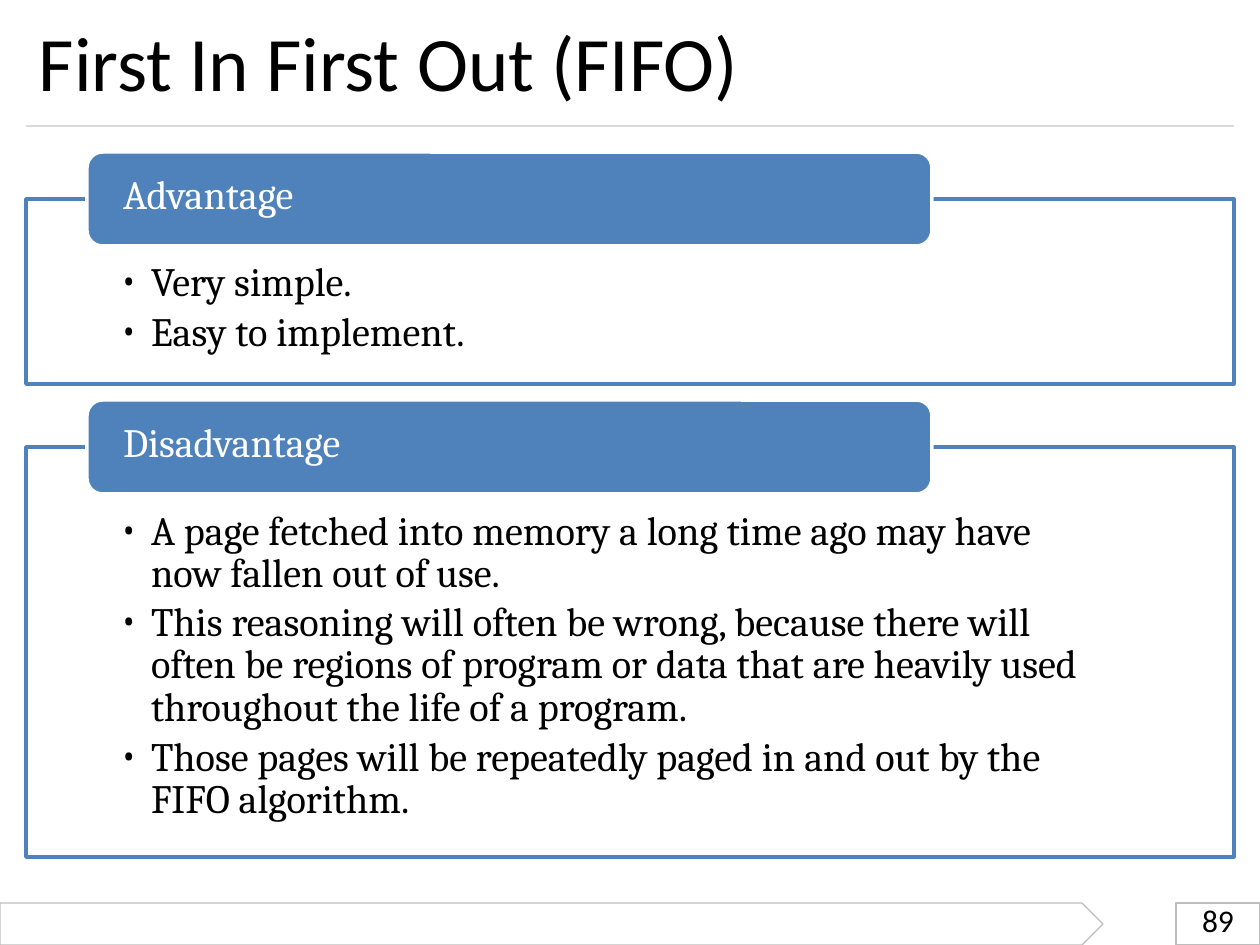
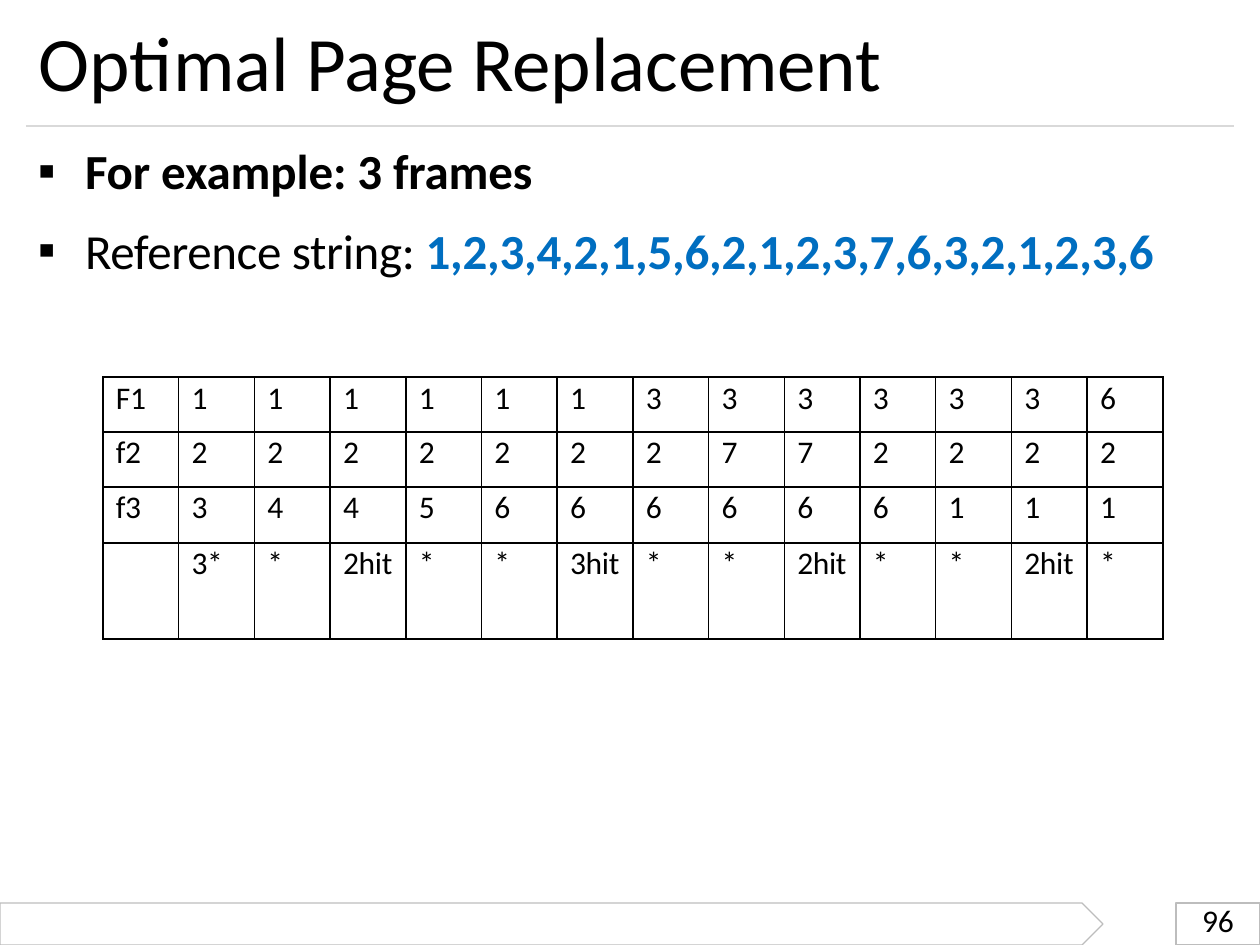
from dataclasses import dataclass

from lxml import etree
from pptx import Presentation
from pptx.dml.color import RGBColor
from pptx.enum.shapes import MSO_CONNECTOR, MSO_SHAPE
from pptx.oxml.ns import qn
from pptx.util import Emu, Pt


@dataclass(frozen=True)
class Theme:
    black: str = "000000"
    white: str = "FFFFFF"
    panel: str = "4F81BB"
    accent: str = "006EC0"
    rule: str = "D9D9D9"
    footer: str = "BDBDBD"
    sans: str = "Calibri"
    serif: str = "Cambria"
    title_size: int = 44
    body_size: int = 28
    panel_size: int = 23
    small_size: int = 18
    hairline: float = 0.72
    panel_line: float = 2.04


THEME = Theme()

# Content: each bullet is (text, space before in pt, line spacing)
FIFO = {
    "title": "First In First Out (FIFO)",
    "number": "89",
    "panels": [
        {"heading": "Advantage", "top": 152, "frame_height": 185,
         "text_width": 362, "text_height": 189, "inset_right": 0,
         "bullets": [("Very simple.", 22.1, 1.0),
                     ("Easy to implement.", 1, 1.0)]},
        {"heading": "Disadvantage", "top": 400, "frame_height": 410,
         "text_width": 1004, "text_height": 408, "inset_right": 20,
         "bullets": [
             ("A page fetched into memory a long time ago may have "
              "now fallen out of use.", 26.6, Pt(24)),
             ("This reasoning will often be wrong, because there will "
              "often be regions of program or data that are heavily used "
              "throughout the life of a program.", 3.8, 0.88),
             ("Those pages will be repeatedly paged in and out by the "
              "FIFO algorithm.", 4.2, Pt(24))]},
    ],
}
OPTIMAL = {
    "title": "Optimal Page Replacement",
    "number": "96",
    "example": "For example: 3 frames",
    "label": "Reference string: ",
    "references": "1,2,3,4,2,1,5,6,2,1,2,3,7,6,3,2,1,2,3,6",
    "frames": [
        ["F1", *"1111113333336"],
        ["f2", *"2222222772222"],
        ["f3", *"3445666666111"],
        ["", "3*", "*", "2hit", "*", "*", "3hit", "*", "*", "2hit",
         "*", "*", "2hit", "*"],
    ],
}
ROW_HEIGHTS = (55, 55, 56, 96)


def px(length):
    return Emu(round(length * 914400 / 126))


def set_values(target, values):
    for name, value in values.items():
        setattr(target, name, value)


def add_span(para, text, size, font=THEME.sans, color=THEME.black,
             bold=False, spacing=-0.05):
    """Add a run; spacing is the letter spacing in points."""
    span = para.add_run()
    span.text = text
    set_values(span.font, {"size": Pt(size), "name": font, "bold": bold})
    span.font.color.rgb = RGBColor.from_string(color)
    span._r.get_or_add_rPr().set("spc", str(round(spacing * 100)))


def set_indent(para, left, hanging=0, bullet=None, font=THEME.sans):
    properties = para._p.get_or_add_pPr()
    properties.set("marL", str(px(left)))
    properties.set("indent", str(-px(hanging)))
    if bullet:
        etree.SubElement(properties, qn("a:buFont")).set("typeface", font)
        etree.SubElement(properties, qn("a:buChar")).set("char", bullet)


def add_text_box(page, left, top, width, height, inset_top=1, inset_right=0):
    box = page.shapes.add_textbox(px(left), px(top), px(width), px(height))
    set_values(box.text_frame, {
        "word_wrap": True, "margin_left": 0, "margin_bottom": 0,
        "margin_top": px(inset_top), "margin_right": px(inset_right)})
    return box.text_frame


def add_shape(page, kind, left, top, width, height, line, weight, fill=None):
    shape = page.shapes.add_shape(kind, px(left), px(top), px(width), px(height))
    shape.shadow.inherit = False
    if fill:
        shape.fill.solid()
        shape.fill.fore_color.rgb = RGBColor.from_string(fill)
    else:
        shape.fill.background()
    shape.line.color.rgb = RGBColor.from_string(line)
    shape.line.width = Pt(weight)


def add_page(deck, content):
    """Add a slide with the shared title, rule and footer."""
    page = deck.slides.add_slide(deck.slide_layouts[6])
    outline = (THEME.footer, THEME.hairline)
    add_shape(page, MSO_SHAPE.RECTANGLE, 1176, 903, 84, 42, *outline)
    add_shape(page, MSO_SHAPE.PENTAGON, 0, 903, 1103, 42, *outline)

    rule = page.shapes.add_connector(
        MSO_CONNECTOR.STRAIGHT, px(26), px(126), px(1234), px(126))
    rule.line.color.rgb = RGBColor.from_string(THEME.rule)
    rule.line.width = Pt(THEME.hairline)
    etree.SubElement(rule._element.spPr, qn("a:effectLst"))

    title = add_text_box(page, 37, 13, 1186, 96, 2).paragraphs[0]
    title.space_before = Pt(1.1)
    set_indent(title, 2)
    add_span(title, content["title"], THEME.title_size)

    number = add_text_box(page, 1197, 907, 43, 35, 0).paragraphs[0]
    number.line_spacing = Pt(18.1)
    set_indent(number, 5)
    add_span(number, content["number"], THEME.small_size)
    return page


def add_panel(page, panel):
    """Draw a framed list whose heading tab straddles the top edge."""
    top, tab_height = panel["top"], 94
    add_shape(page, MSO_SHAPE.RECTANGLE, 26, top + tab_height // 2, 1208,
              panel["frame_height"], THEME.panel, THEME.panel_line)
    add_shape(page, MSO_SHAPE.ROUNDED_RECTANGLE, 87, top, 845, tab_height,
              THEME.white, THEME.panel_line, THEME.panel)

    frame = add_text_box(page, 118, top + 16, panel["text_width"],
                         panel["text_height"], inset_right=panel["inset_right"])
    heading = frame.paragraphs[0]
    heading.space_before = Pt(1.1)
    set_indent(heading, 5)
    add_span(heading, panel["heading"], THEME.panel_size, THEME.serif, THEME.white)
    for text, before, line_spacing in panel["bullets"]:
        para = frame.add_paragraph()
        set_values(para, {"space_before": Pt(before), "line_spacing": line_spacing})
        set_indent(para, 33, 31, "•", THEME.serif)
        add_span(para, text, THEME.panel_size, THEME.serif, spacing=0)


def add_example(page, content):
    frame = add_text_box(page, 36, 118, 1126, 164, 23)
    example, references = frame.paragraphs[0], frame.add_paragraph()
    for para, before in ((example, 13.1), (references, 12)):
        para.space_before = Pt(before)
        set_indent(para, 49, 47, "▪")
    size = THEME.body_size
    add_span(example, content["example"], size, bold=True)
    add_span(references, content["label"], size, spacing=-0.2)
    add_span(references, content["references"], size, color=THEME.accent,
             bold=True, spacing=-0.1)


def add_borders(cell):
    properties = cell._tc.get_or_add_tcPr()
    for place, side in enumerate(("a:lnL", "a:lnR", "a:lnT", "a:lnB")):
        line = etree.Element(qn(side), w=str(Pt(1)))
        fill = etree.SubElement(line, qn("a:solidFill"))
        etree.SubElement(fill, qn("a:srgbClr"), val=THEME.black)
        properties.insert(place, line)


def add_frame_table(page, rows):
    width, columns = 1060, len(rows[0])
    table = page.shapes.add_table(len(rows), columns, px(103), px(377),
                                  px(width), px(sum(ROW_HEIGHTS))).table
    set_values(table, {"first_row": False, "horz_banding": False})
    for column in table.columns:
        column.width = px(width / columns)
    for row, height, values in zip(table.rows, ROW_HEIGHTS, rows):
        row.height = px(height)
        for cell, value in zip(row.cells, values):
            set_values(cell, {"margin_left": px(13), "margin_right": 0,
                              "margin_top": px(2), "margin_bottom": 0})
            cell.fill.background()
            add_borders(cell)
            if value:
                para = cell.text_frame.paragraphs[0]
                para.space_before = Pt(1.3)
                add_span(para, value, THEME.small_size, spacing=-0.2)


def main():
    deck = Presentation()
    set_values(deck, {"slide_width": px(1260), "slide_height": px(945)})

    fifo_page = add_page(deck, FIFO)
    for panel in FIFO["panels"]:
        add_panel(fifo_page, panel)

    optimal_page = add_page(deck, OPTIMAL)
    add_example(optimal_page, OPTIMAL)
    add_frame_table(optimal_page, OPTIMAL["frames"])

    deck.save("out.pptx")


if __name__ == "__main__":
    main()
